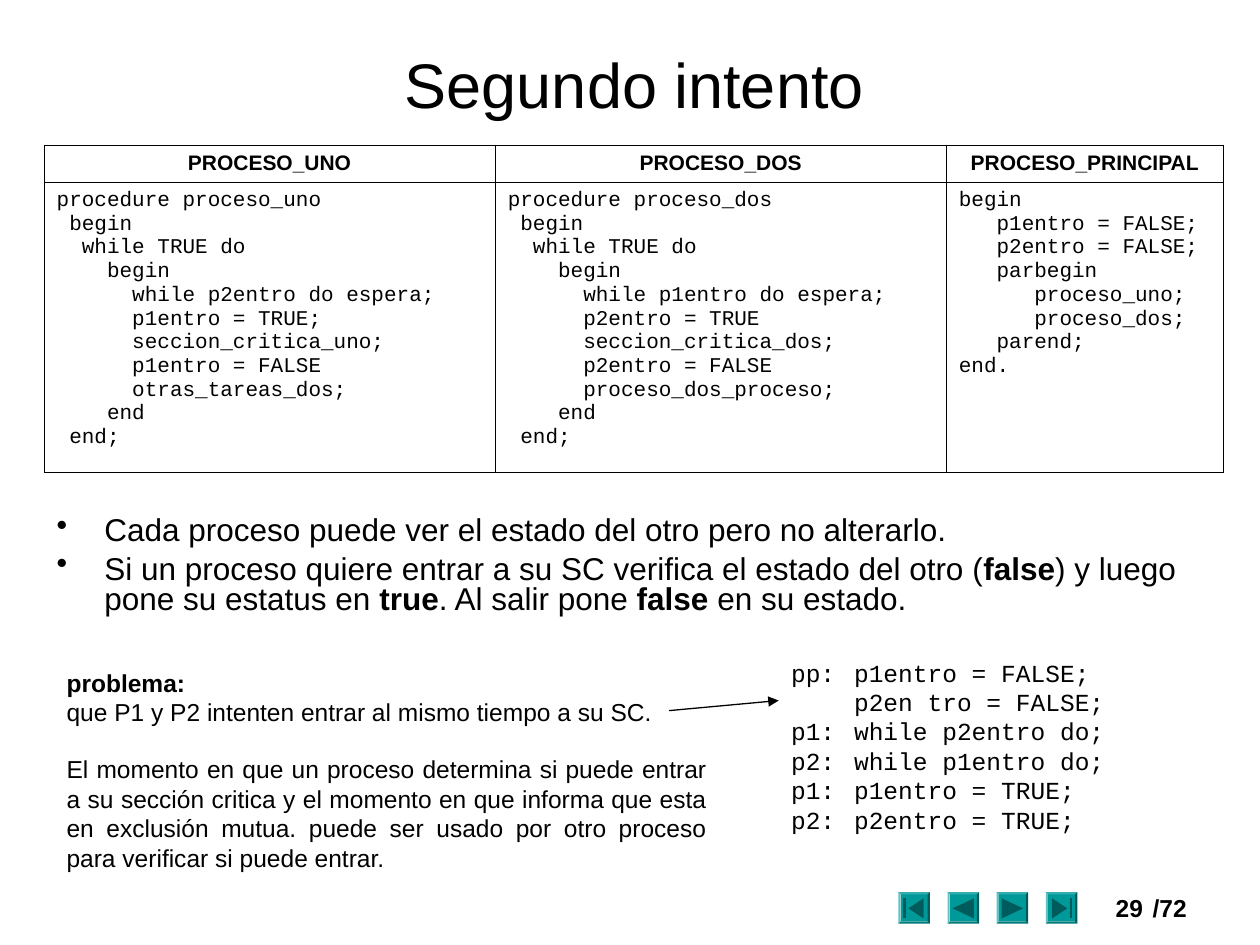
from dataclasses import dataclass

from lxml.etree import SubElement
from pptx import Presentation
from pptx.dml.color import RGBColor
from pptx.enum.shapes import MSO_CONNECTOR, MSO_SHAPE
from pptx.enum.text import MSO_ANCHOR, PP_ALIGN
from pptx.oxml.ns import qn
from pptx.util import Emu, Inches, Pt

BLACK = RGBColor(0x00, 0x00, 0x00)
TEAL = RGBColor(0x00, 0x99, 0x99)
DARK_TEAL = RGBColor(0x00, 0x5C, 0x5C)
SANS = "Arial"
MONO = "Courier New"


@dataclass(frozen=True)
class Label:
    text: str
    left: float
    top: float
    width: float
    height: float
    size: float = 14
    font: str = SANS
    bold: bool = False
    align: PP_ALIGN = PP_ALIGN.LEFT
    anchor: MSO_ANCHOR = MSO_ANCHOR.TOP
    inset: float | None = None


@dataclass(frozen=True)
class Process:
    name: str
    code: str
    width: float
    align: PP_ALIGN = PP_ALIGN.JUSTIFY


@dataclass(frozen=True)
class NavButton:
    forward: bool
    bar: bool


def worker_code(name: str, own: str, other: str, end: str, task: str) -> str:
    return f"""procedure proceso_{name}
 begin
  while TRUE do
    begin
      while {other}entro do espera;
      {own}entro = TRUE{end}
      seccion_critica_{name};
      {own}entro = FALSE
      {task};
    end
 end;"""


MAIN_CODE = """begin
   p1entro = FALSE;
   p2entro = FALSE;
   parbegin
      proceso_uno;
      proceso_dos;
   parend;
end."""

PROCESSES = [
    Process("PROCESO_UNO", worker_code("uno", "p1", "p2", ";", "otras_tareas_dos"), 3.58),
    Process("PROCESO_DOS", worker_code("dos", "p2", "p1", "", "proceso_dos_proceso"), 3.58),
    Process("PROCESO_PRINCIPAL", MAIN_CODE, 2.2, PP_ALIGN.LEFT),
]

TRACE = """pp:\tp1entro = FALSE;
\tp2en tro = FALSE;
p1:\twhile p2entro do;
p2:\twhile p1entro do;
p1:\tp1entro = TRUE;
p2:\tp2entro = TRUE;"""

PROBLEM = """problema:
que P1 y P2 intenten entrar al mismo tiempo a su SC.
El momento en que un proceso determina si puede entrar a su sección critica y el momento en que informa que esta en exclusión mutua. puede ser usado por otro proceso para verificar si puede entrar."""

TITLE = Label("Segundo intento", 0.35, 0.34, 9.37, 0.64, 36, align=PP_ALIGN.CENTER,
              anchor=MSO_ANCHOR.MIDDLE, inset=0.02)
TRACE_LABEL = Label(TRACE, 6.18, 5.17, 3.31, 1.5, font=MONO)
PROBLEM_LABEL = Label(PROBLEM, 0.43, 5.24, 5.28, 1.74, align=PP_ALIGN.JUSTIFY,
                      anchor=MSO_ANCHOR.MIDDLE)
PAGE = Label("29", 8.63, 7.04, 0.54, 0.33, bold=True, align=PP_ALIGN.RIGHT)
TOTAL = Label("/72", 9.05, 7.04, 0.52, 0.33, bold=True)

BULLETS = [
    [("Cada proceso puede ver el estado del otro pero no alterarlo.", False)],
    [("Si un proceso quiere entrar a su SC verifica el estado del otro (", False),
     ("false", True), (") y luego pone su estatus en ", False), ("true", True),
     (". Al salir pone ", False), ("false", True), (" en su estado.", False)],
]

BUTTONS = [NavButton(False, True), NavButton(False, False),
           NavButton(True, False), NavButton(True, True)]


def style_run(r, size: float, font: str = SANS, bold: bool = False) -> None:
    r.font.size = Pt(size)
    r.font.name = font
    r.font.bold = bold
    r.font.color.rgb = BLACK


def fill_text(tf, text: str, size: float, font: str, bold: bool, align: PP_ALIGN) -> None:
    tf.text = text
    for p in tf.paragraphs:
        p.alignment = align
        for r in p.runs:
            style_run(r, size, font, bold)


def add_label(s, label: Label):
    box = s.shapes.add_textbox(Inches(label.left), Inches(label.top),
                               Inches(label.width), Inches(label.height))
    tf = box.text_frame
    tf.word_wrap = True
    tf.vertical_anchor = label.anchor
    if label.inset is not None:
        tf.margin_left = tf.margin_right = Inches(label.inset)
        tf.margin_top = tf.margin_bottom = Inches(label.inset)
    fill_text(tf, label.text, label.size, label.font, label.bold, label.align)
    return tf


def add_borders(cell) -> None:
    tc_pr = cell._tc.get_or_add_tcPr()
    for position, tag in enumerate(("a:lnL", "a:lnR", "a:lnT", "a:lnB")):
        ln = SubElement(tc_pr, qn(tag), w=str(Pt(0.45)))
        tc_pr.insert(position, ln)
        fill = SubElement(ln, qn("a:solidFill"))
        SubElement(fill, qn("a:srgbClr"), val=str(BLACK))


def add_process_table(s) -> None:
    frame = s.shapes.add_table(2, len(PROCESSES), Inches(0.35), Inches(1.15),
                               Inches(9.37), Inches(2.6))
    table = frame.table
    table.first_row = table.horz_banding = False
    table.rows[0].height = Inches(0.3)
    table.rows[1].height = Inches(2.3)
    for col, process in enumerate(PROCESSES):
        table.columns[col].width = Inches(process.width)
        head, body = table.cell(0, col), table.cell(1, col)
        fill_text(head.text_frame, process.name, 12, SANS, True, PP_ALIGN.CENTER)
        fill_text(body.text_frame, process.code, 12, MONO, False, process.align)
        for cell in (head, body):
            cell.fill.background()
            add_borders(cell)


def add_bullets(s) -> None:
    tf = add_label(s, Label("", 0.35, 4.06, 9.29, 0.95))
    for i, parts in enumerate(BULLETS):
        p = tf.add_paragraph() if i else tf.paragraphs[0]
        p.line_spacing = 0.8
        if i:
            p.space_before = Pt(4.5)
        p_pr = p._p.get_or_add_pPr()
        p_pr.set("marL", str(Inches(0.38)))
        p_pr.set("indent", str(Inches(-0.38)))
        SubElement(p_pr, qn("a:buChar"), char="•")
        for text, bold in parts:
            r = p.add_run()
            r.text = text
            style_run(r, 18, bold=bold)


def add_glyph(s, points: list[tuple[float, float]]) -> None:
    corners = [(Inches(x), Inches(y)) for x, y in points]
    builder = s.shapes.build_freeform(*corners[0], scale=1.0)
    builder.add_line_segments(corners[1:], close=True)
    glyph = builder.convert_to_shape(Emu(0), Emu(0))
    glyph.shadow.inherit = False
    glyph.fill.solid()
    glyph.fill.fore_color.rgb = DARK_TEAL
    glyph.line.fill.background()


def add_button(s, button: NavButton, left: float, top: float = 7.08, side: float = 0.25) -> None:
    face = s.shapes.add_shape(MSO_SHAPE.BEVEL, Inches(left), Inches(top),
                              Inches(side), Inches(side))
    face.adjustments[0] = 0.07
    face.shadow.inherit = False
    face.fill.solid()
    face.fill.fore_color.rgb = TEAL
    face.line.fill.background()
    tip, base = (0.08, 0.2) if button.bar else (0.04, 0.21)
    shapes = [[(tip, 0.13), (base, 0.05), (base, 0.21)]]
    if button.bar:
        shapes.append([(0.04, 0.05), (0.06, 0.05), (0.06, 0.21), (0.04, 0.21)])
    for points in shapes:
        add_glyph(s, [(left + (side - x if button.forward else x), top + y) for x, y in points])


def add_arrow(s) -> None:
    arrow = s.shapes.add_connector(MSO_CONNECTOR.STRAIGHT, Inches(5.31), Inches(5.64),
                                   Inches(6.18), Inches(5.56))
    arrow.line.color.rgb = BLACK
    arrow.line.width = Pt(0.75)
    SubElement(arrow.line._get_or_add_ln(), qn("a:tailEnd"), type="triangle")
    SubElement(arrow._element.spPr, qn("a:effectLst"))


def main() -> None:
    """Build the slide on the second mutual exclusion attempt."""
    prs = Presentation()
    prs.slide_width, prs.slide_height = Inches(10), Inches(7.5)
    s = prs.slides.add_slide(prs.slide_layouts[6])
    add_label(s, PAGE)
    for i, button in enumerate(BUTTONS):
        add_button(s, button, 7.13 + i * 0.39)
    add_label(s, TOTAL)
    add_label(s, TITLE)
    add_bullets(s)
    add_process_table(s)
    add_label(s, TRACE_LABEL)
    problem = add_label(s, PROBLEM_LABEL).paragraphs
    problem[0].runs[0].font.bold = True
    problem[2].space_before = Pt(16)
    add_arrow(s)
    prs.save("out.pptx")


if __name__ == "__main__":
    main()
